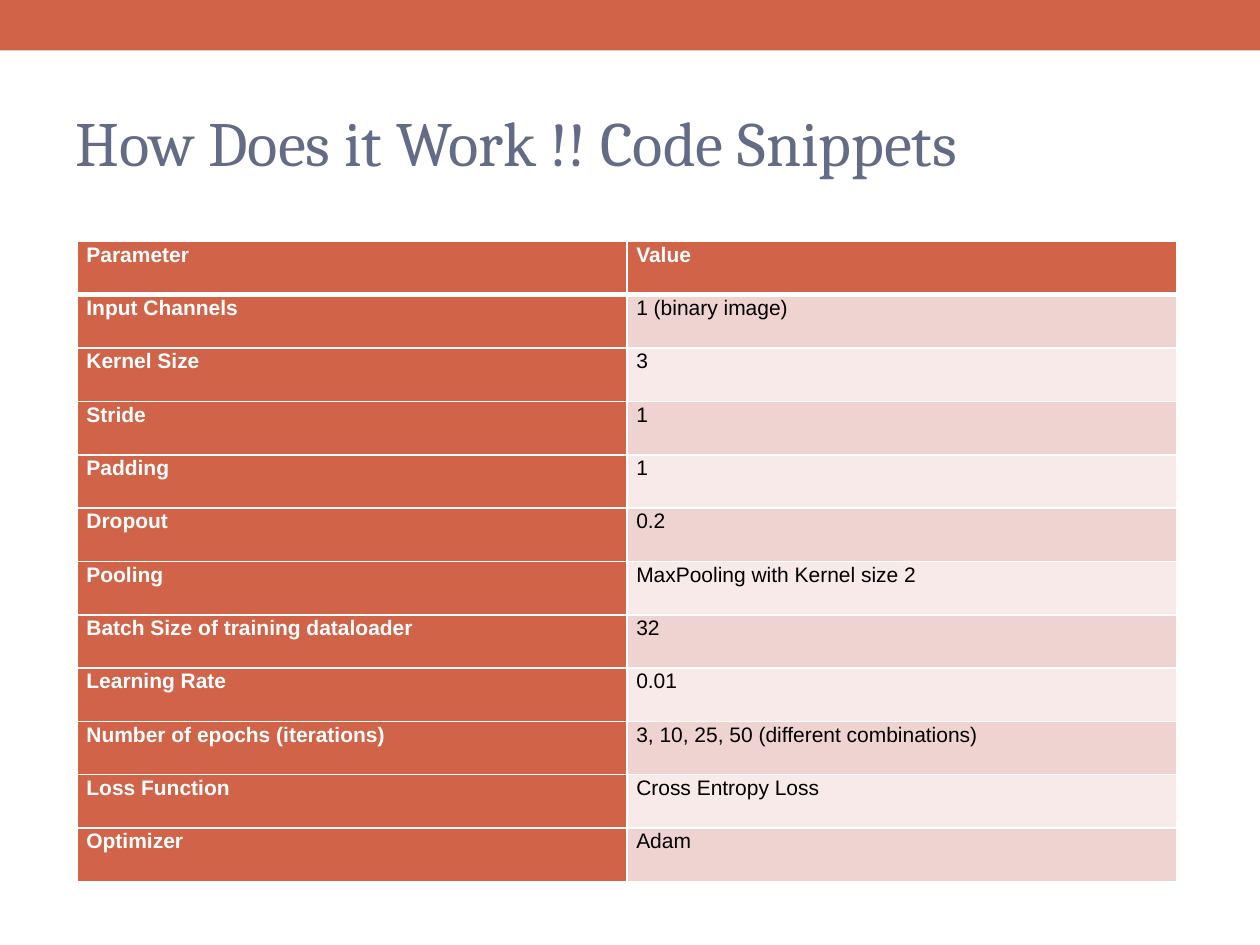
from dataclasses import dataclass

from lxml.etree import SubElement
from pptx import Presentation
from pptx.dml.color import RGBColor
from pptx.enum.shapes import MSO_SHAPE
from pptx.enum.text import MSO_ANCHOR, PP_ALIGN
from pptx.oxml.ns import qn
from pptx.util import Pt

WHITE = RGBColor(0xFF, 0xFF, 0xFF)
BLACK = RGBColor(0x00, 0x00, 0x00)
ORANGE = RGBColor(0xD1, 0x63, 0x49)
SLATE = RGBColor(0x64, 0x6B, 0x86)
BANDS = (RGBColor(0xF7, 0xEA, 0xE9), RGBColor(0xEE, 0xD3, 0xD0))

ROW_H = 30.5
COL_W = 314.2


@dataclass
class Setting:
    parameter: str
    value: str


SETTINGS = [
    Setting("Parameter", "Value"),
    Setting("Input Channels", "1 (binary image)"),
    Setting("Kernel Size", "3"),
    Setting("Stride", "1"),
    Setting("Padding", "1"),
    Setting("Dropout", "0.2"),
    Setting("Pooling", "MaxPooling with Kernel size 2"),
    Setting("Batch Size of training dataloader", "32"),
    Setting("Learning Rate", "0.01"),
    Setting("Number of epochs (iterations)", "3, 10, 25, 50 (different combinations)"),
    Setting("Loss Function", "Cross Entropy Loss"),
    Setting("Optimizer", "Adam"),
]


def add_run(p, text: str, font: str, size: float, color: RGBColor, bold: bool = False) -> None:
    r = p.add_run()
    r.text = text
    r.font.name = font
    r.font.size = Pt(size)
    r.font.bold = bold
    r.font.color.rgb = color


def set_borders(cell, **widths: float) -> None:
    """Draw white borders; the fill must be set afterwards to keep the XML order."""
    tc_pr = cell._tc.get_or_add_tcPr()
    for side, width in widths.items():
        ln = SubElement(tc_pr, qn(f"a:ln{side}"), w=str(Pt(width)))
        fill = SubElement(ln, qn("a:solidFill"))
        SubElement(fill, qn("a:srgbClr"), val=str(WHITE))


def fill_cell(cell, text: str, row: int, strong: bool) -> None:
    set_borders(cell, L=1, R=1, T=3 if row == 1 else 1, B=3 if row == 0 else 1)
    cell.fill.solid()
    cell.fill.fore_color.rgb = ORANGE if strong else BANDS[row % 2]
    cell.margin_left = cell.margin_right = Pt(5.4)
    cell.margin_top = cell.margin_bottom = Pt(0)
    p = cell.text_frame.paragraphs[0]
    p.alignment = PP_ALIGN.JUSTIFY
    p.line_spacing = 1.07
    p.space_after = Pt(8)
    add_run(p, text, "Arial", 12, WHITE if strong else BLACK, strong)


def main() -> None:
    prs = Presentation()
    prs.slide_width, prs.slide_height = Pt(720), Pt(540)
    s = prs.slides.add_slide(prs.slide_layouts[5])

    # Top band
    band = s.shapes.add_shape(MSO_SHAPE.RECTANGLE, Pt(0), Pt(0), Pt(720), Pt(28.8))
    band.shadow.inherit = False
    band.fill.solid()
    band.fill.fore_color.rgb = ORANGE
    band.line.fill.background()

    # Title
    title = s.shapes.title
    title.left, title.top, title.width, title.height = Pt(36), Pt(42), Pt(648), Pt(78)
    tf = title.text_frame
    tf.word_wrap = True
    tf.vertical_anchor = MSO_ANCHOR.MIDDLE
    p = tf.paragraphs[0]
    p.alignment = PP_ALIGN.LEFT
    add_run(p, "How Does it Work !! Code Snippets", "Cambria", 36, SLATE)

    # Parameter table
    frame = s.shapes.add_table(len(SETTINGS), 2, Pt(44), Pt(138),
                               Pt(2 * COL_W), Pt(len(SETTINGS) * ROW_H))
    table = frame.table
    for col in table.columns:
        col.width = Pt(COL_W)
    for i, setting in enumerate(SETTINGS):
        table.rows[i].height = Pt(ROW_H)
        fill_cell(table.cell(i, 0), setting.parameter, i, True)
        fill_cell(table.cell(i, 1), setting.value, i, i == 0)

    prs.save("out.pptx")


if __name__ == "__main__":
    main()
